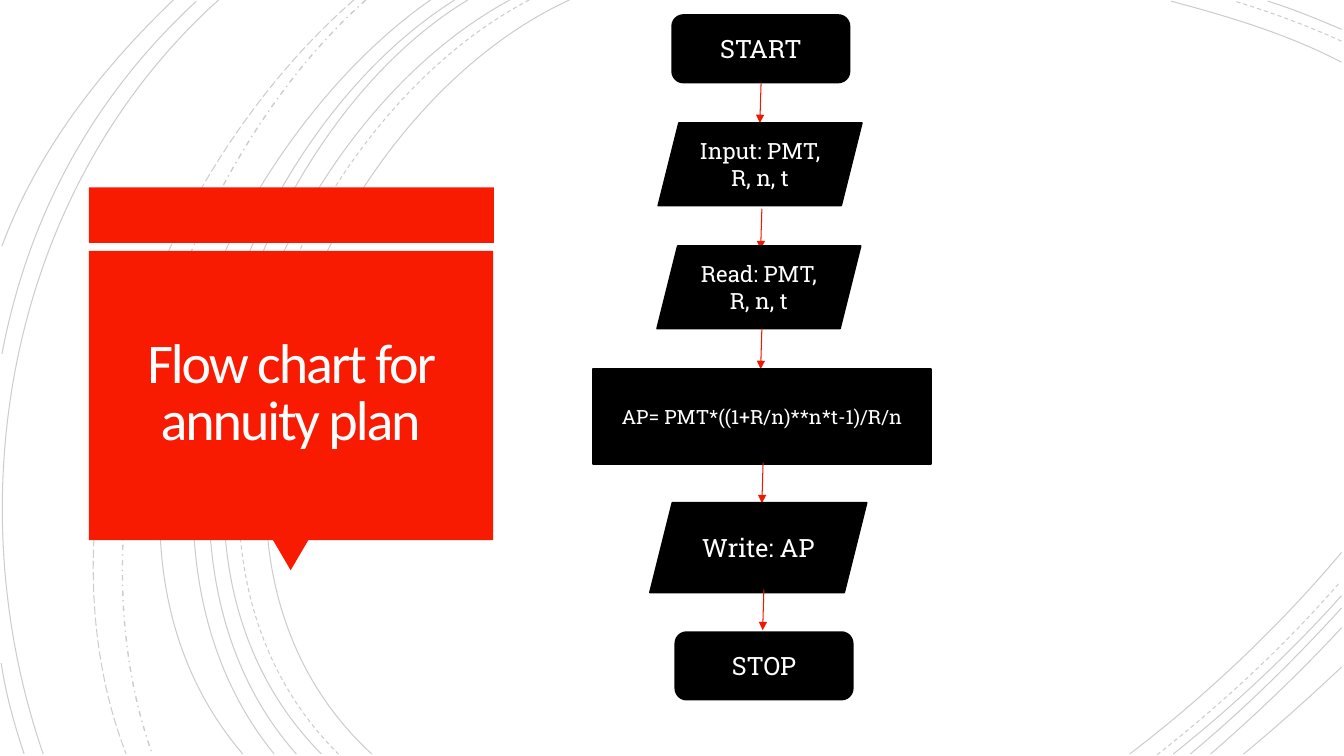
from dataclasses import dataclass

from lxml import etree
from pptx import Presentation
from pptx.dml.color import RGBColor
from pptx.enum.dml import MSO_LINE
from pptx.enum.shapes import MSO_CONNECTOR, MSO_SHAPE
from pptx.enum.text import MSO_ANCHOR, PP_ALIGN
from pptx.oxml.ns import qn
from pptx.util import Cm, Pt

RECT, ROUNDED = MSO_SHAPE.RECTANGLE, MSO_SHAPE.ROUNDED_RECTANGLE
DATA, TRIANGLE = MSO_SHAPE.PARALLELOGRAM, MSO_SHAPE.ISOSCELES_TRIANGLE
SOLID, DASH = MSO_LINE.SOLID, MSO_LINE.DASH
DASH_DOT, LONG_DASH = MSO_LINE.DASH_DOT, MSO_LINE.LONG_DASH
STRAIGHT = MSO_CONNECTOR.STRAIGHT
MIDDLE, CENTER = MSO_ANCHOR.MIDDLE, PP_ALIGN.CENTER


@dataclass(frozen=True)
class Theme:
    card: RGBColor = RGBColor(0xF8, 0x1B, 0x02)
    arrow: RGBColor = RGBColor(0xED, 0x1A, 0x02)
    step: RGBColor = RGBColor(0, 0, 0)
    arc: RGBColor = RGBColor(0, 0, 0)
    title_text: RGBColor = RGBColor(0xFF, 0xFE, 0xFF)
    step_text: RGBColor = RGBColor(0xFF, 0xFF, 0xFF)
    title_font: str = "Calibri"
    step_font: str = "Roboto Slab"
    title_size: int = 40
    large: int = 18
    medium: int = 16
    small: int = 14


theme = Theme()


def write_text(shape, text, *, font, size, color, inset=None, line_spacing=None, tracking=None):
    """Put centred text in a shape; inset is in cm, tracking in points."""
    frame = shape.text_frame
    frame.word_wrap = True
    frame.vertical_anchor = MIDDLE
    if inset is not None:
        frame.margin_left = frame.margin_right = Cm(inset)
        frame.margin_top = frame.margin_bottom = Cm(inset)
    paragraph = frame.paragraphs[0]
    paragraph.alignment = CENTER
    if line_spacing is not None:
        paragraph.line_spacing = line_spacing
    run = paragraph.add_run()
    run.text = text
    run.font.name = font
    run.font.size = Pt(size)
    run.font.color.rgb = color
    if tracking is not None:
        run.font.element.set("spc", str(int(tracking * 100))) if hasattr(run.font, "element") else \
            run.text and paragraph.runs[0]._r.get_or_add_rPr().set("spc", str(int(tracking * 100)))


def add_block(kind, box, fill, outline=None):
    """Add a filled preset shape; box is left, top, width, height in cm."""
    block = slide.shapes.add_shape(kind, *(Cm(length) for length in box))
    block.shadow.inherit = False
    block.fill.solid()
    block.fill.fore_color.rgb = fill
    if outline is None:
        block.line.fill.background()
    else:
        block.line.color.rgb = outline
        block.line.width = Pt(1.25)
    return block


prs = Presentation()
prs.slide_width, prs.slide_height = Cm(33.87), Cm(19.05)
slide = prs.slides.add_slide(prs.slide_layouts[6])

# Background arcs: start, two Bézier handles and end in cm, then the dash
arcs = [
    ((14.35, 0), (8, 2.92), (3.63, 13.72), (9.37, 19), SOLID),
    ((33.81, 1.57), (32.46, 0.86), (30.94, 0.41), (29.51, 0.03), SOLID),
    ((28.47, 19), (30.4, 17.53), (32.23, 15.8), (33.81, 13.92), SOLID),
    ((13.34, 0), (7.24, 3.18), (3.12, 13.64), (8.53, 19), DASH),
    ((33.81, 1.04), (32.94, 0.64), (32, 0.3), (31.12, 0.03), DASH),
    ((29.16, 19.02), (30.81, 17.73), (32.39, 16.26), (33.78, 14.66), DASH),
    ((12.85, 0), (6.86, 3.23), (2.79, 13.64), (8.1, 19), SOLID),
    ((33.81, 0.74), (33.2, 0.48), (32.59, 0.23), (31.95, 0.03), SOLID),
    ((29.57, 19), (31.06, 17.81), (32.51, 16.46), (33.81, 15.01), SOLID),
    ((11.79, 0), (6.2, 3.38), (2.79, 13.74), (7.47, 19), SOLID),
    ((30, 19), (31.34, 17.88), (32.61, 16.64), (33.81, 15.32), SOLID),
    ((11.46, 0), (5.87, 3.51), (2.46, 13.54), (6.91, 19), SOLID),
    ((30.51, 19), (31.65, 18.01), (32.77, 16.94), (33.81, 15.82), SOLID),
    ((10.85, 0), (5.51, 3.73), (1.35, 13.44), (6.12, 19), SOLID),
    ((31.34, 19), (32.18, 18.31), (32.99, 17.58), (33.81, 16.81), SOLID),
    ((9.22, 0), (4.47, 4.22), (1.65, 12.93), (3.84, 19), DASH_DOT),
    ((8.92, 0), (3.99, 4.29), (0.74, 12.67), (3.18, 19), LONG_DASH),
    ((5.51, 0), (0.28, 4.7), (-1.17, 12.45), (1.09, 19), SOLID),
    ((4.95, 0.03), (2.34, 2.44), (0.71, 5.44), (0.05, 8.92), SOLID),
    ((0.03, 16.71), (0.15, 17.5), (0.36, 18.26), (0.61, 19), SOLID),
    ((4.37, 0), (2.54, 1.75), (0.94, 3.81), (0.05, 6.2), SOLID),
]
for *points, dash in arcs:
    start, *bends = [(Cm(x), Cm(y)) for x, y in points]
    builder = slide.shapes.build_freeform(*start)
    builder.add_line_segments(bends, close=False)
    arc = builder.convert_to_shape()
    arc.shadow.inherit = False
    arc.fill.background()
    arc.line.color.rgb = theme.arc
    arc.line.width = Pt(1 if dash == DASH_DOT else 0.75)
    arc.line.dash_style = dash
    ink = arc.element.spPr.find(f"{qn('a:ln')}/{qn('a:solidFill')}/{qn('a:srgbClr')}")
    etree.SubElement(ink, qn("a:alpha"), val="20000")
    # The three straight segments become one cubic curve
    outline = next(arc.element.iter(qn("a:path")))
    segments = outline.findall(qn("a:lnTo"))
    curve = etree.SubElement(outline, qn("a:cubicBezTo"))
    for segment in segments:
        curve.append(segment[0])
        outline.remove(segment)

# Title card
add_block(RECT, (2.24, 4.72, 10.21, 1.4), theme.card)
pointer = add_block(TRIANGLE, (6.88, 13.61, 0.89, 0.76), theme.card)
pointer.rotation = 180
add_block(RECT, (2.24, 6.32, 10.19, 7.29), theme.card)
title = slide.shapes.add_textbox(Cm(2.46), Cm(6.53), Cm(9.73), Cm(6.83))
write_text(title, "Flow chart for annuity plan", font=theme.title_font, size=theme.title_size,
           color=theme.title_text, inset=0.64, line_spacing=0.85, tracking=-1.5)

# Flow chart: kind, box, text, size, and where the arrow to the next step starts
steps = [
    (ROUNDED, (16.94, 0.38, 4.47, 1.7), "START", theme.large, (19.18, 2.08)),
    (DATA, (16.59, 3.1, 5.13, 2.08), "Input: PMT, R, n, t", theme.medium, (19.2, 5.26)),
    (DATA, (16.56, 6.2, 5.13, 2.08), "Read: PMT, R, n, t", theme.medium, (19.2, 8.28)),
    (RECT, (14.94, 9.3, 8.53, 2.39), "AP= PMT*((1+R/n)**n*t-1)/R/n", theme.small, (19.23, 11.66)),
    (DATA, (16.38, 12.67, 5.46, 2.26), "Write: AP", theme.large, (19.25, 14.86)),
    (ROUNDED, (17.02, 15.93, 4.47, 1.7), "STOP", theme.large, None),
]
ARROW_LEAN, ARROW_DROP = 0.03, 1.02
for kind, box, label, size, arrow_start in steps:
    step = add_block(kind, box, theme.step, outline=theme.step)
    write_text(step, label, font=theme.step_font, size=size, color=theme.step_text)
    if arrow_start is None:
        continue
    x, y = arrow_start
    arrow = slide.shapes.add_connector(
        STRAIGHT, Cm(x), Cm(y), Cm(x - ARROW_LEAN), Cm(y + ARROW_DROP))
    arrow.line.color.rgb = theme.arrow
    arrow.line.width = Pt(0.75)
    arrow_props = arrow.element.spPr
    etree.SubElement(arrow_props.find(qn("a:ln")), qn("a:tailEnd"), type="triangle")
    etree.SubElement(arrow_props, qn("a:effectLst"))

prs.save("out.pptx")
